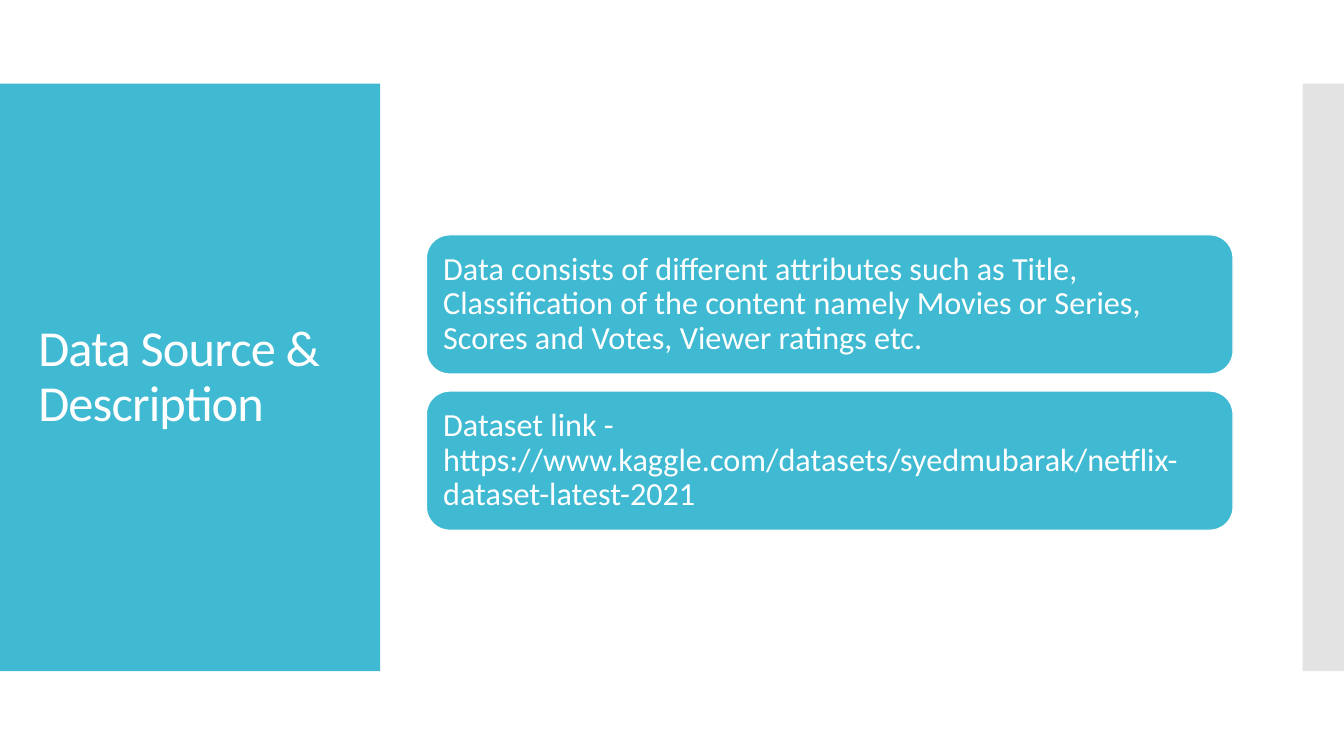
from pptx import Presentation
from pptx.dml.color import RGBColor
from pptx.enum.shapes import MSO_SHAPE
from pptx.enum.text import MSO_ANCHOR, MSO_AUTO_SIZE, PP_ALIGN
from pptx.oxml.ns import qn
from pptx.util import Inches, Pt
from lxml.etree import SubElement

TEAL = RGBColor(0x40, 0xBA, 0xD2)
GREY = RGBColor(0xC8, 0xC8, 0xC8)
WHITE = RGBColor(0xFF, 0xFF, 0xFF)
FONT = "Calibri"

BAND_TOP, BAND_HEIGHT = 0.83, 5.83
CARD_TOP, CARD_HEIGHT, CARD_PITCH = 2.33, 1.38, 1.55
CARDS = [
    "Data consists of different attributes such as Title, Classification of the "
    "content namely Movies or Series, Scores and Votes, Viewer ratings etc.",
    "Dataset link - https://www.kaggle.com/datasets/syedmubarak/netflix-dataset-latest-2021",
]


def add_box(slide, preset, left, top, width, height, color):
    """Add a filled preset shape without outline or shadow."""
    sp = slide.shapes.add_shape(
        preset, Inches(left), Inches(top), Inches(width), Inches(height))
    sp.shadow.inherit = False
    sp.fill.solid()
    sp.fill.fore_color.rgb = color
    sp.line.fill.background()
    return sp


def set_opacity(sp, percent):
    """Make the solid fill of a shape partly transparent."""
    color = sp._element.spPr.find(qn("a:solidFill"))[0]
    SubElement(color, qn("a:alpha")).set("val", str(percent * 1000))


def write_text(sp, text, size):
    """Write one left-aligned white paragraph, centred vertically."""
    tf = sp.text_frame
    tf.text = text
    tf.word_wrap = True
    tf.auto_size = MSO_AUTO_SIZE.NONE
    tf.vertical_anchor = MSO_ANCHOR.MIDDLE
    p = tf.paragraphs[0]
    p.alignment = PP_ALIGN.LEFT
    p.line_spacing = 0.9
    p.font.name = FONT
    p.font.size = Pt(size)
    p.font.color.rgb = WHITE
    return p


def place_title(slide, text):
    """Move the title placeholder onto the side panel, in front of it."""
    title = slide.shapes.title
    title.left, title.top = Inches(0.28), Inches(1.23)
    title.width, title.height = Inches(3.22), Inches(5.03)
    p = write_text(title, text, 36)
    p.font._element.set("spc", "-60")
    slide.shapes._spTree.append(title._element)


def add_card(slide, top, text):
    """Add a rounded card with its text."""
    card = add_box(slide, MSO_SHAPE.ROUNDED_RECTANGLE, 4.23, top, 8, CARD_HEIGHT, TEAL)
    card.line.color.rgb = WHITE
    card.line.width = Pt(0.85)
    tf = card.text_frame
    tf.margin_left = tf.margin_right = tf.margin_top = tf.margin_bottom = Inches(0.1)
    write_text(card, text, 23)


def main():
    """Build the slide and save it."""
    prs = Presentation()
    prs.slide_width, prs.slide_height = Inches(13.33), Inches(7.5)
    slide = prs.slides.add_slide(prs.slide_layouts[5])
    add_box(slide, MSO_SHAPE.RECTANGLE, 0, BAND_TOP, 3.77, BAND_HEIGHT, TEAL)
    edge = add_box(slide, MSO_SHAPE.RECTANGLE, 12.92, BAND_TOP, 0.41, BAND_HEIGHT, GREY)
    set_opacity(edge, 50)
    place_title(slide, "Data Source & Description")
    for i, text in enumerate(CARDS):
        add_card(slide, CARD_TOP + i * CARD_PITCH, text)
    prs.save("out.pptx")


if __name__ == "__main__":
    main()
